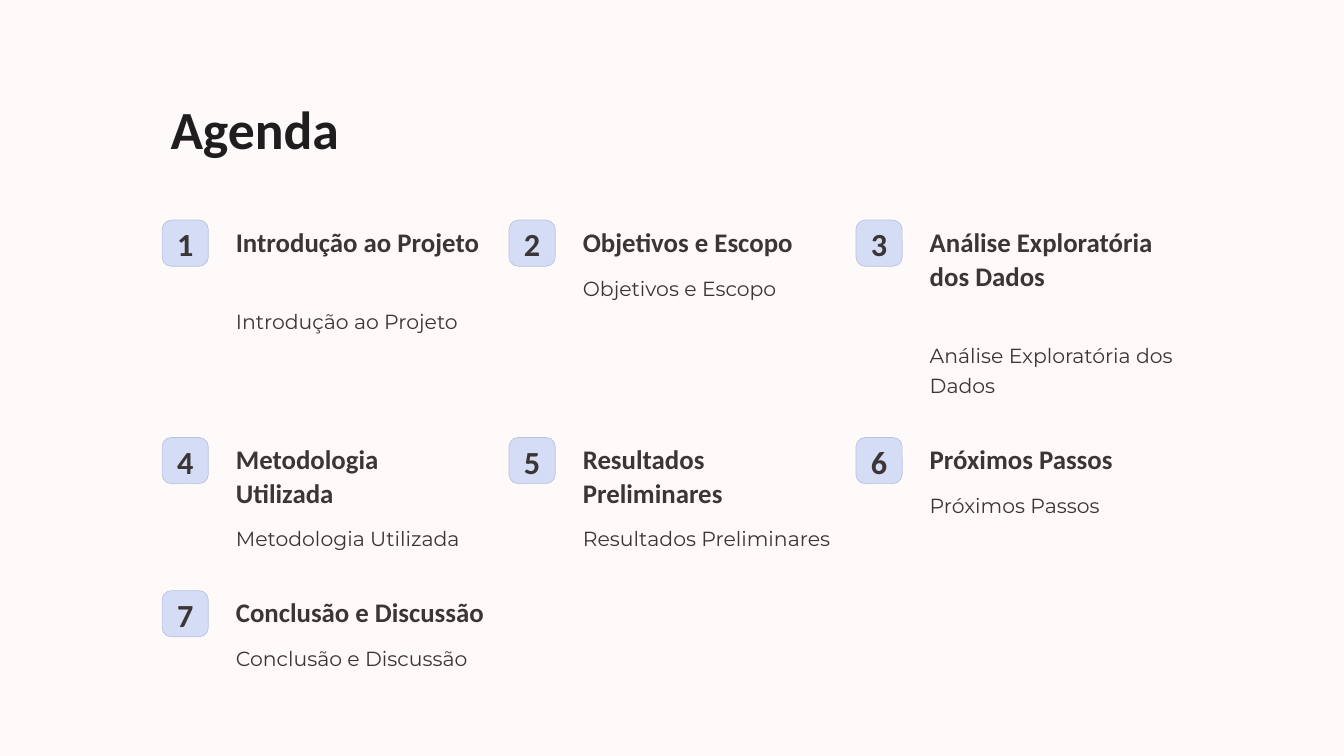
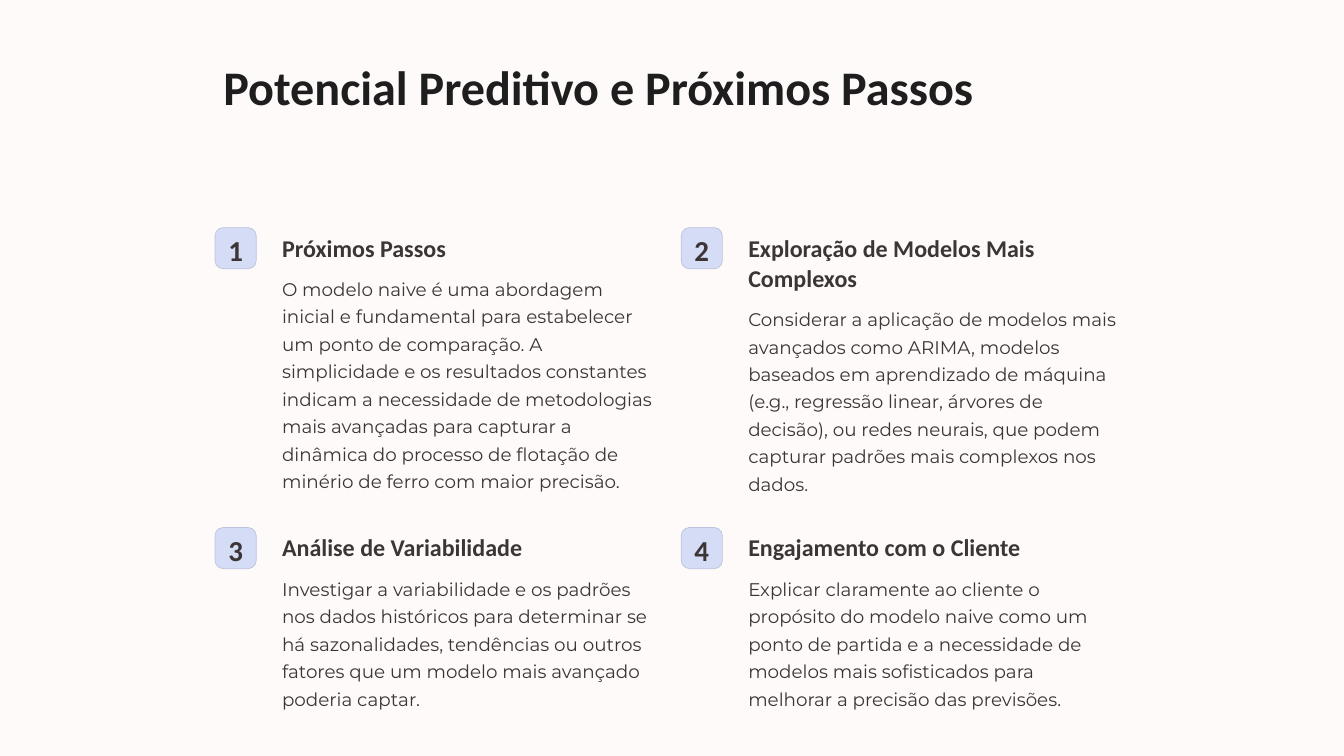
from dataclasses import dataclass

from pptx import Presentation
from pptx import util as u
from pptx.dml.color import RGBColor
from pptx.enum import shapes, text


@dataclass(frozen=True)
class Theme:
    background: RGBColor = RGBColor.from_string("FFFAFA")
    title: RGBColor = RGBColor.from_string("1F1E1E")
    ink: RGBColor = RGBColor.from_string("3B3535")
    badge: RGBColor = RGBColor.from_string("D5DCF6")
    badge_line: RGBColor = RGBColor.from_string("BBC2DC")
    heading_font: str = "Calibri"
    body_font: str = "Montserrat"


@dataclass(frozen=True)
class Scale:
    """Type as (size, line height) in points; lengths in inches."""
    title_type: tuple
    number_type: tuple
    heading_type: tuple
    body_type: tuple
    title_box: tuple
    columns: int
    left: float
    top: float
    column_step: float
    row_gap: float
    badge: float
    text_offset: float
    text_width: float
    body_gap: float


THEME = Theme()

AGENDA_SCALE = Scale(
    title_type=(46, 57.5), number_type=(27.6, 27.6),
    heading_type=(23, 28.8), body_type=(17.5, 26.2),
    title_box=(1.93, 1.06, 6.39, 0.8), columns=3, left=1.93, top=2.62,
    column_step=4.13, row_gap=0.52, badge=0.55, text_offset=0.78,
    text_width=3.1, body_gap=0.14)

STEPS_SCALE = Scale(
    title_type=(41.3, 51.6), number_type=(24.8, 24.8),
    heading_type=(20.6, 25.8), body_type=(15.7, 23.5),
    title_box=(2.56, 0.6, 10.89, 1.43), columns=2, left=2.56, top=2.71,
    column_step=5.55, row_gap=0.47, badge=0.49, text_offset=0.7,
    text_width=4.63, body_gap=0.13)

# Each item: heading, lines kept for it, body, lines kept for it
AGENDA = [
    ("Introdução ao Projeto", 2, "Introdução ao Projeto", 1),
    ("Objetivos e Escopo", 1, "Objetivos e Escopo", 1),
    ("Análise Exploratória dos Dados", 3, "Análise Exploratória dos Dados", 2),
    ("Metodologia Utilizada", 2, "Metodologia Utilizada", 1),
    ("Resultados Preliminares", 2, "Resultados Preliminares", 1),
    ("Próximos Passos", 1, "Próximos Passos", 1),
    ("Conclusão e Discussão", 1, "Conclusão e Discussão", 1),
]

STEPS = [
    ("Próximos Passos", 1,
     "O modelo naive é uma abordagem inicial e fundamental para estabelecer "
     "um ponto de comparação. A simplicidade e os resultados constantes "
     "indicam a necessidade de metodologias mais avançadas para capturar a "
     "dinâmica do processo de flotação de minério de ferro com maior "
     "precisão.", 8),
    ("Exploração de Modelos Mais Complexos", 2,
     "Considerar a aplicação de modelos mais avançados como ARIMA, modelos "
     "baseados em aprendizado de máquina (e.g., regressão linear, árvores de "
     "decisão), ou redes neurais, que podem capturar padrões mais complexos "
     "nos dados.", 6),
    ("Análise de Variabilidade", 1,
     "Investigar a variabilidade e os padrões nos dados históricos para "
     "determinar se há sazonalidades, tendências ou outros fatores que um "
     "modelo mais avançado poderia captar.", 5),
    ("Engajamento com o Cliente", 1,
     "Explicar claramente ao cliente o propósito do modelo naive como um "
     "ponto de partida e a necessidade de modelos mais sofisticados para "
     "melhorar a precisão das previsões.", 5),
]

SLIDES = [
    ("Agenda", AGENDA, AGENDA_SCALE),
    ("Potencial Preditivo e Próximos Passos", STEPS, STEPS_SCALE),
]


def inches(*lengths):
    return [u.Inches(length) for length in lengths]


def write(frame, words, type_style, color=THEME.ink, font=THEME.heading_font,
          bold=True, align=text.PP_ALIGN.LEFT, wrap=True):
    size, line_height = type_style
    frame.text = words
    frame.word_wrap = wrap
    frame.auto_size = text.MSO_AUTO_SIZE.NONE
    frame.vertical_anchor = text.MSO_ANCHOR.TOP
    paragraph = frame.paragraphs[0]
    paragraph.alignment = align
    paragraph.line_spacing = u.Pt(line_height)
    style = paragraph.runs[0].font
    style.name, style.size, style.bold = font, u.Pt(size), bold
    style.color.rgb = color


def add_badge(slide, number, left, top, scale):
    badge = slide.shapes.add_shape(
        shapes.MSO_SHAPE.ROUNDED_RECTANGLE,
        *inches(left, top, scale.badge, scale.badge))
    badge.adjustments[0] = 0.2
    badge.shadow.inherit = False
    badge.fill.solid()
    badge.fill.fore_color.rgb = THEME.badge
    badge.line.color.rgb = THEME.badge_line
    badge.line.width = u.Pt(0.6)
    frame = badge.text_frame
    frame.margin_left = frame.margin_right = frame.margin_bottom = 0
    frame.margin_top = u.Inches(0.1)
    write(frame, str(number), scale.number_type,
          align=text.PP_ALIGN.CENTER, wrap=False)


def block_height(lines, type_style):
    return lines * type_style[1] / 72


def add_block(slide, words, lines, type_style, left, top, width, **style):
    """Add a text box as tall as its lines and return its bottom edge."""
    height = block_height(lines, type_style)
    block = slide.shapes.add_textbox(*inches(left, top, width, height))
    write(block.text_frame, words, type_style, wrap=lines > 1, **style)
    return top + height


def add_item(slide, number, item, left, top, scale):
    """Add a numbered item and return its bottom edge."""
    heading, heading_lines, body, body_lines = item
    add_badge(slide, number, left, top, scale)
    text_left = left + scale.text_offset
    heading_bottom = add_block(slide, heading, heading_lines,
                               scale.heading_type, text_left, top,
                               scale.text_width)
    return add_block(slide, body, body_lines, scale.body_type, text_left,
                     heading_bottom + scale.body_gap, scale.text_width,
                     font=THEME.body_font, bold=False)


def add_numbered_slide(prs, title, items, scale):
    slide = prs.slides.add_slide(prs.slide_layouts[5])
    heading = slide.shapes.title
    heading.left, heading.top, heading.width, heading.height = inches(
        *scale.title_box)
    write(heading.text_frame, title, scale.title_type, color=THEME.title)

    top = scale.top
    for first in range(0, len(items), scale.columns):
        row = items[first:first + scale.columns]
        bottoms = [
            add_item(slide, first + column + 1, item,
                     scale.left + column * scale.column_step, top, scale)
            for column, item in enumerate(row)]
        top = max(bottoms) + scale.row_gap


def main():
    prs = Presentation()
    prs.slide_width, prs.slide_height = inches(16, 9)
    backdrop = prs.slide_master.background.fill
    backdrop.solid()
    backdrop.fore_color.rgb = THEME.background
    for title, items, scale in SLIDES:
        add_numbered_slide(prs, title, items, scale)
    prs.save("out.pptx")


if __name__ == "__main__":
    main()
